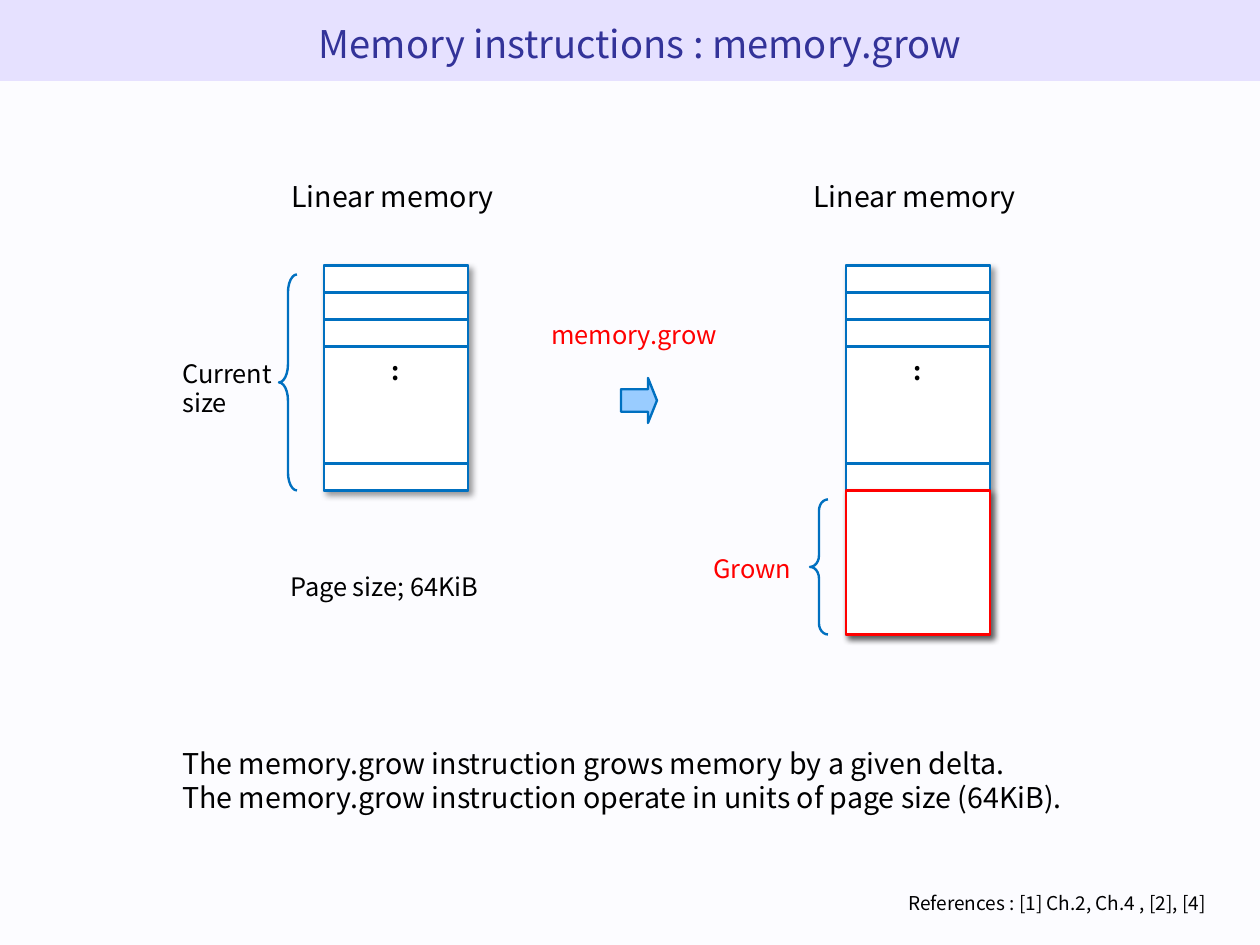
import pptx
import pptx.util
import pptx.dml.color
import pptx.enum.shapes
import pptx.enum.text
import pptx.oxml

Cm = pptx.util.Cm
Pt = pptx.util.Pt
RGBColor = pptx.dml.color.RGBColor
KIND = pptx.enum.shapes.MSO_SHAPE
ALIGN = pptx.enum.text.PP_ALIGN
ANCHOR = pptx.enum.text.MSO_ANCHOR

PAPER = RGBColor(0xFC, 0xFC, 0xFF)
LILAC = RGBColor(0xE6, 0xE1, 0xFF)
NAVY = RGBColor(0x33, 0x33, 0x99)
BLUE = RGBColor(0x00, 0x70, 0xC0)
SKY = RGBColor(0x99, 0xCC, 0xFF)
RED = RGBColor(0xFF, 0x00, 0x00)
BLACK = RGBColor(0x00, 0x00, 0x00)
WHITE = RGBColor(0xFF, 0xFF, 0xFF)

FONT = "Noto Sans CJK SC"
WIDE, HIGH = 28, 21
CELL, SIDE, STACK = 0.6, 3.2, 5

SHADOW = (
    '<a:effectLst xmlns:a="http://schemas.openxmlformats.org/drawingml/2006/main">'
    '<a:outerShdw blurRad="50800" dist="38100" dir="2700000" algn="tl" rotWithShape="0">'
    '<a:srgbClr val="000000"><a:alpha val="40000"/></a:srgbClr>'
    '</a:outerShdw></a:effectLst>'
)


def apply(target, values):
    for name, value in values.items():
        setattr(target, name, value)


def write(frame, lines, size, color=BLACK, align=ALIGN.LEFT, anchor=ANCHOR.TOP, bold=False):
    apply(frame, {
        "word_wrap": True,
        "auto_size": pptx.enum.text.MSO_AUTO_SIZE.NONE,
        "vertical_anchor": anchor,
        "margin_left": Cm(0.25), "margin_right": Cm(0.2),
        "margin_top": Cm(0.13), "margin_bottom": Cm(0.13),
    })
    for i, line in enumerate(lines):
        para = frame.paragraphs[0] if i == 0 else frame.add_paragraph()
        apply(para, {"alignment": align, "line_spacing": 0.97, "space_before": Pt(0)})
        run = para.add_run()
        run.text = line
        apply(run.font, {"name": FONT, "size": Pt(size), "bold": bold})
        run.font.color.rgb = color


def label(slide, box, lines, size, **style):
    text = slide.shapes.add_textbox(*map(Cm, box))
    write(text.text_frame, lines, size, **style)


def shape(slide, kind, box, fill=None, line=None, shadow=False):
    part = slide.shapes.add_shape(kind, *map(Cm, box))
    part.shadow.inherit = False
    if fill is None:
        part.fill.background()
    else:
        part.fill.solid()
        part.fill.fore_color.rgb = fill
    if line is None:
        part.line.fill.background()
    else:
        part.line.color.rgb = line
        part.line.width = Pt(1.5)
    if shadow:
        props = part.element.spPr
        props.replace(props.find(pptx.oxml.ns.qn("a:effectLst")),
                      pptx.oxml.parse_xml(SHADOW))
    return part


def brace(slide, box):
    part = shape(slide, KIND.LEFT_BRACE, box, line=BLUE)
    part.adjustments[0] = box[3] / 12 / box[2]


def head(slide, box):
    # Title over its band
    left, top, width, height = box
    shape(slide, KIND.RECTANGLE, box, LILAC)
    title = slide.shapes.title
    slide.shapes._spTree.append(title.element)
    apply(title, {"left": Cm(left + 1), "top": Cm(top + 0.38),
                  "width": Cm(width - 1.6), "height": Cm(2.4)})
    write(title.text_frame, ["Memory instructions : memory.grow"], 24,
          color=NAVY, align=ALIGN.CENTER)


def stack(slide, box):
    # Heading, frame and pages of one memory
    left, top, width, height = box
    label(slide, (left - 2.6, top - 2, 8.2, 1.2), ["Linear memory"], 18,
          align=ALIGN.CENTER)
    shape(slide, KIND.RECTANGLE, box, WHITE, BLUE, shadow=True)
    for drop in (0, CELL, 2 * CELL, STACK - CELL):
        shape(slide, KIND.RECTANGLE, (left, top + drop, width, CELL), WHITE, BLUE)
    label(slide, (left + 0.2, top + 3 * CELL, 2.73, 1.1), [":"], 16,
          align=ALIGN.CENTER, anchor=ANCHOR.MIDDLE, bold=True)


def before(slide, box):
    # Memory at its current size
    left, top, width, height = box
    stack(slide, box)
    brace(slide, (left - 1, top + 0.2, 0.4, height - 0.2))
    label(slide, (left - 3.4, top + 2.2, 2.6, 1.1), ["Current", "size"], 16,
          anchor=ANCHOR.MIDDLE)
    label(slide, (left - 1, top + 6.6, 5, 1.1), ["Page size; 64KiB"], 16,
          anchor=ANCHOR.MIDDLE)


def step(slide, box):
    # Named arrow between the memories
    left, top, width, height = box
    label(slide, (left, top, width, 1.1), ["memory.grow"], 16,
          color=RED, anchor=ANCHOR.MIDDLE)
    arrow = shape(slide, KIND.RIGHT_ARROW,
                  (left + 1.8, top + height - 1, 0.8, 1), SKY, BLUE)
    arrow.adjustments[0] = 0.5
    arrow.adjustments[1] = 0.25


def after(slide, box):
    # Memory with the grown part
    left, top, width, height = box
    base, grown = top + STACK, height - STACK
    stack(slide, box)
    brace(slide, (left - 0.8, base + 0.2, 0.4, grown - 0.2))
    label(slide, (left - 3.2, base + 1.2, 3, 1.1), ["Grown"], 16,
          color=RED, anchor=ANCHOR.MIDDLE)
    shape(slide, KIND.RECTANGLE, (left, base, width, grown), WHITE, RED, shadow=True)


def foot(slide, box):
    # Summary and references
    left, top, width, height = box
    label(slide, (left, top, 22.6, 2), [
        "The memory.grow instruction grows memory by a given delta.",
        "The memory.grow instruction operate in units of page size (64KiB).",
    ], 18)
    label(slide, (left, top + height - 0.95, width, 0.95),
          ["References : [1] Ch.2, Ch.4 , [2], [4]"], 12, align=ALIGN.RIGHT)


def main():
    deck = pptx.Presentation()
    apply(deck, {"slide_width": Cm(WIDE), "slide_height": Cm(HIGH)})
    slide = deck.slides.add_slide(deck.slide_layouts[5])
    slide.background.fill.solid()
    slide.background.fill.fore_color.rgb = PAPER
    head(slide, (0, 0, WIDE, 1.8))
    before(slide, (7.2, 5.9, SIDE, STACK))
    step(slide, (12, 6.9, 4.6, 2.5))
    after(slide, (18.8, 5.9, SIDE, STACK + SIDE))
    foot(slide, (3.8, 16.5, 23.2, 4.15))
    deck.save("out.pptx")


if __name__ == "__main__":
    main()
